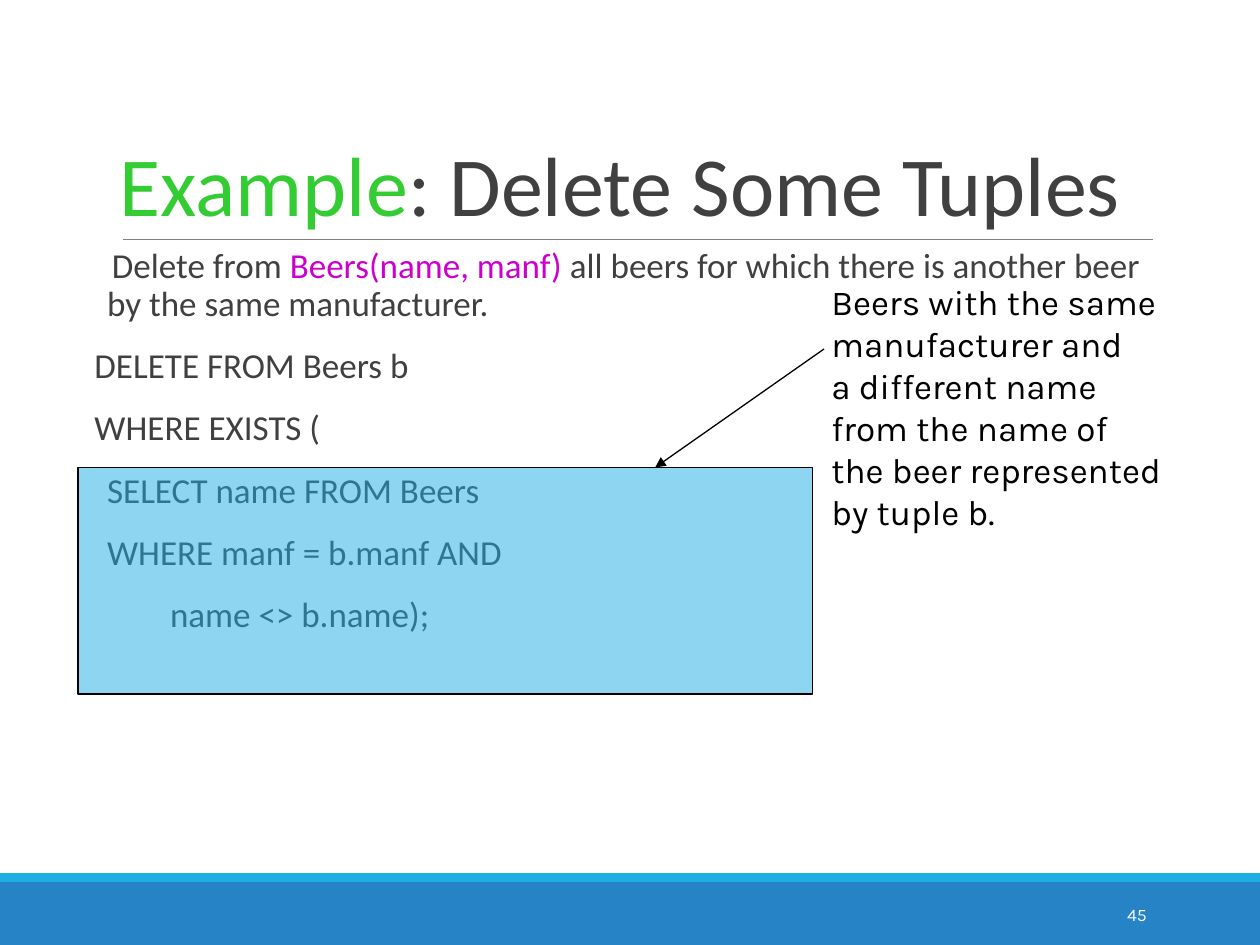
from lxml import etree
from pptx import Presentation
from pptx.dml.color import RGBColor
from pptx.enum.shapes import MSO_CONNECTOR, MSO_SHAPE
from pptx.enum.text import MSO_ANCHOR, MSO_AUTO_SIZE, PP_ALIGN
from pptx.oxml.ns import qn
from pptx.util import Pt

RECTANGLE = MSO_SHAPE.RECTANGLE
STRAIGHT = MSO_CONNECTOR.STRAIGHT
TOP, MIDDLE, BOTTOM = MSO_ANCHOR.TOP, MSO_ANCHOR.MIDDLE, MSO_ANCHOR.BOTTOM
LEFT, RIGHT = PP_ALIGN.LEFT, PP_ALIGN.RIGHT

COLORS = {
    "text": "404040", "example": "33CC33", "relation": "CC00CC",
    "black": "000000", "white": "FFFFFF", "rule": "7F7F7F",
    "footer": "2683C6", "accent": "1CADE4",
}
EMU_PER_INCH = 914400
HANGING_INDENT = 91440


def rgb(name):
    return RGBColor.from_string(COLORS[name])


def add_text(slide, paragraphs, box, *, font="Calibri", size=20, color="text",
             insets=(7.2, 3.6, 7.2, 3.6), anchor=TOP, align=LEFT, wrap=True,
             line_spacing=None, before=0, after=0):
    """Each paragraph is a list of (text, color) runs; a None color is the default."""
    frame = slide.shapes.add_textbox(*map(Pt, box)).text_frame
    frame.word_wrap = wrap
    frame.auto_size = MSO_AUTO_SIZE.NONE if wrap else MSO_AUTO_SIZE.SHAPE_TO_FIT_TEXT
    frame.vertical_anchor = anchor
    (frame.margin_left, frame.margin_top,
     frame.margin_right, frame.margin_bottom) = map(Pt, insets)
    for index, runs in enumerate(paragraphs):
        paragraph = frame.add_paragraph() if index else frame.paragraphs[0]
        paragraph.alignment = align
        paragraph.line_spacing = line_spacing
        paragraph.space_before, paragraph.space_after = Pt(before), Pt(after)
        for text, run_color in runs:
            run = paragraph.add_run()
            run.text = text
            run.font.name, run.font.size = font, Pt(size)
            run.font.color.rgb = rgb(run_color or color)
    return frame


def indent_paragraph(paragraph, first_tab, bullet=None):
    """Hang the first line and set a left tab at every inch."""
    properties = paragraph._p.get_or_add_pPr()
    properties.set("marL", str(HANGING_INDENT))
    properties.set("indent", str(-HANGING_INDENT))
    if bullet:
        etree.SubElement(properties, qn("a:buChar"), char=bullet)
    else:
        etree.SubElement(properties, qn("a:buNone"))
    tabs = etree.SubElement(properties, qn("a:tabLst"))
    for inch in range(first_tab, first_tab + 8):
        etree.SubElement(tabs, qn("a:tab"), pos=str(inch * EMU_PER_INCH), algn="l")


def add_rectangle(slide, box, fill, *, outline=None, opacity=100):
    rectangle = slide.shapes.add_shape(RECTANGLE, *map(Pt, box))
    rectangle.shadow.inherit = False
    rectangle.fill.solid()
    rectangle.fill.fore_color.rgb = rgb(fill)
    if opacity < 100:
        color = rectangle._element.spPr.find(qn("a:solidFill"))[0]
        etree.SubElement(color, qn("a:alpha"), val=str(opacity * 1000))
    if outline:
        rectangle.line.color.rgb = rgb(outline)
        rectangle.line.width = Pt(0.75)
    else:
        rectangle.line.fill.background()


def add_line(slide, start, end, color, width, *, arrow=False):
    line = slide.shapes.add_connector(STRAIGHT, *map(Pt, start + end))
    line.line.color.rgb = rgb(color)
    line.line.width = Pt(width)
    if arrow:
        etree.SubElement(line.line._get_or_add_ln(), qn("a:tailEnd"), type="triangle")
    etree.SubElement(line._element.spPr, qn("a:effectLst"))


def add_query(slide):
    task = [("Delete from ", None), ("Beers(name, manf)", "relation"),
            (" all beers for which there is another beer by the same manufacturer.", None)]
    statement = ["DELETE FROM Beers b", "WHERE EXISTS (", "\tSELECT name FROM Beers",
                 "\tWHERE manf = b.manf AND", "\t\tname <> b.name);"]
    query = add_text(slide, [task] + [[(line, None)] for line in statement],
                     (54, 138.24, 612, 360), insets=(0, 3.6, 0, 3.6),
                     line_spacing=0.9, before=12, after=2)
    first, *others = query.paragraphs
    indent_paragraph(first, 1, bullet=" ")
    for paragraph in others:
        indent_paragraph(paragraph, 0)


def add_explanation(slide):
    add_rectangle(slide, (44.64, 267.12, 419.76, 129.6), "accent",
                  outline="black", opacity=50)
    lines = ["Beers with the same", "manufacturer and", "a different name",
             "from the name of", "the beer represented", "by tuple b."]
    add_text(slide, [[(line, None)] for line in lines], (468, 156.96, 214.56, 151.2),
             font="Karla", color="black", wrap=False)
    add_line(slide, (470.88, 199.44), (374.4, 267.12), "black", 0.75, arrow=True)


def main():
    deck = Presentation()
    deck.slide_width, deck.slide_height = Pt(720), Pt(540)
    slide = deck.slides.add_slide(deck.slide_layouts[6])

    # Footer bands and title rule
    add_rectangle(slide, (0, 504, 720, 36), "footer")
    add_rectangle(slide, (0, 499, 720, 5), "accent")
    add_line(slide, (70.56, 136.8), (658.8, 136.8), "rule", 0.5)

    # Title
    add_text(slide, [[("Example", "example"), (": Delete Some Tuples", None)]],
             (64.8, 22.32, 594, 114.48), size=48, anchor=BOTTOM,
             insets=(3.6, 3.6, 3.6, 3.6), line_spacing=0.85)

    # Query, then the highlighted subquery with its note
    add_query(slide)
    add_text(slide, [[("45", None)]], (584.64, 508.32, 77.76, 28.8), font="Karla",
             size=10, color="white", anchor=MIDDLE, align=RIGHT)
    add_explanation(slide)

    deck.save("out.pptx")


if __name__ == "__main__":
    main()
